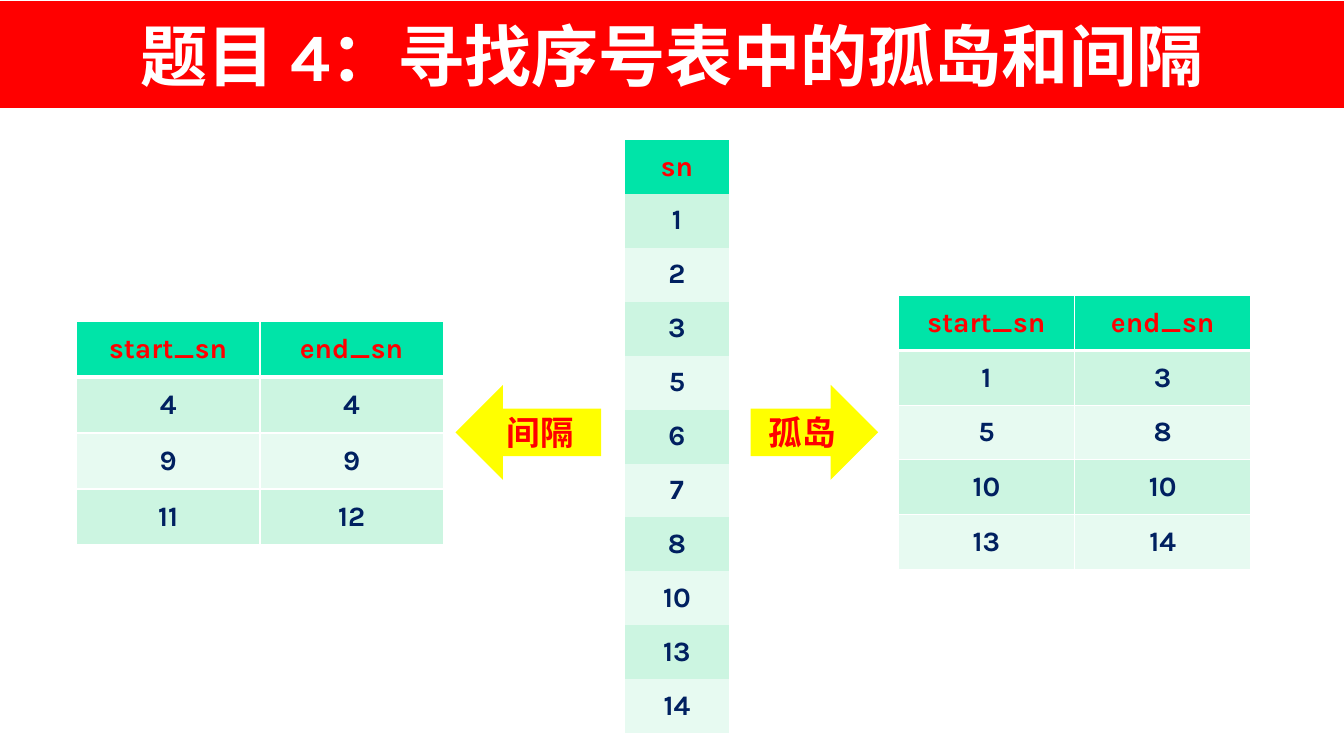
import pptx
import pptx.util
import pptx.dml.color
import pptx.enum.shapes
import pptx.enum.text
import pptx.oxml
import pptx.oxml.ns

COLORS = {
    "banner": "FF0000",
    "title": "FFFFFF",
    "header": "00E4A8",
    "band_dark": "CCF5E1",
    "band_light": "E7FAF1",
    "accent_text": "FF0000",
    "value": "002060",
    "arrow": "FFFF00",
    "grid": "FFFFFF",
}
LATIN, CJK = "Karla", "Noto Sans CJK JP"
PLAIN_TABLE = "{2D5ABB26-0587-4C30-8999-92F81FD0307C}"
Cm, Pt = pptx.util.Cm, pptx.util.Pt


def rgb(name):
    return pptx.dml.color.RGBColor.from_string(COLORS[name])


class SlideBuilder:
    def __init__(self, presentation):
        self.slide = presentation.slides.add_slide(presentation.slide_layouts[5])

    def fill(self, target, color):
        target.fill.solid()
        target.fill.fore_color.rgb = rgb(color)

    def set_text(self, frame, text, size, color, font=LATIN):
        frame.text = text
        frame.word_wrap = True
        paragraph = frame.paragraphs[0]
        paragraph.alignment = pptx.enum.text.PP_ALIGN.CENTER
        paragraph.font.name = font
        paragraph.font.size = Pt(size)
        paragraph.font.bold = True
        paragraph.font.color.rgb = rgb(color)

    def title(self, text, left, top, width, height):
        banner = self.slide.shapes.title
        banner.left, banner.top = Cm(left), Cm(top)
        banner.width, banner.height = Cm(width), Cm(height)
        self.fill(banner, "banner")
        self.set_text(banner.text_frame, text, 48, "title")
        banner.text_frame.auto_size = pptx.enum.text.MSO_AUTO_SIZE.NONE
        banner.text_frame.vertical_anchor = pptx.enum.text.MSO_ANCHOR.MIDDLE

    def borders(self, cell, is_header, below_header):
        # Border lines come before the fill in the cell properties
        properties = cell._tc.get_or_add_tcPr()
        widths = {"lnL": 1, "lnR": 1,
                  "lnT": 3 if below_header else 1,
                  "lnB": 3 if is_header else 1}
        for index, (side, points) in enumerate(widths.items()):
            properties.insert(index, pptx.oxml.parse_xml(
                f'<a:{side} {pptx.oxml.ns.nsdecls("a")} w="{Pt(points)}">'
                f'<a:solidFill><a:srgbClr val="{COLORS["grid"]}"/></a:solidFill>'
                f'</a:{side}>'))

    def table(self, rows, left, top, column_width, row_height, grid=True):
        columns = len(rows[0])
        table = self.slide.shapes.add_table(
            len(rows), columns, Cm(left), Cm(top),
            Cm(column_width * columns), Cm(row_height * len(rows))).table
        table._tbl.tblPr.find(pptx.oxml.ns.qn("a:tableStyleId")).text = PLAIN_TABLE
        for column in table.columns:
            column.width = Cm(column_width)
        for r, values in enumerate(rows):
            table.rows[r].height = Cm(row_height)
            band = "header" if r == 0 else ("band_light", "band_dark")[r % 2]
            for c, value in enumerate(values):
                cell = table.cell(r, c)
                self.fill(cell, band)
                cell.vertical_anchor = pptx.enum.text.MSO_ANCHOR.MIDDLE
                self.set_text(cell.text_frame, str(value), 20,
                              "value" if r else "accent_text")
                if grid:
                    self.borders(cell, r == 0, r == 1)

    def arrow(self, kind, text, left, top, width, height):
        arrow = self.slide.shapes.add_shape(
            kind, Cm(left), Cm(top), Cm(width), Cm(height))
        arrow.shadow.inherit = False
        self.fill(arrow, "arrow")
        arrow.line.fill.background()
        self.set_text(arrow.text_frame, text, 24, "accent_text", CJK)
        arrow.text_frame.vertical_anchor = pptx.enum.text.MSO_ANCHOR.MIDDLE


def main():
    presentation = pptx.Presentation()
    presentation.slide_width, presentation.slide_height = Cm(33.87), Cm(19.05)
    builder = SlideBuilder(presentation)
    shapes = pptx.enum.shapes.MSO_SHAPE

    # Title banner
    builder.title("题目 4：寻找序号表中的孤岛和间隔", 0, 0.03, 33.87, 2.69)

    # Islands, gaps and the sequence they come from
    range_header = ("start_sn", "end_sn")
    islands = [(1, 3), (5, 8), (10, 10), (13, 14)]
    gaps = [(4, 4), (9, 9), (11, 12)]
    sequence = [(n,) for first, last in islands for n in range(first, last + 1)]
    builder.table([range_header] + islands, 22.64, 7.45, 4.44, 1.38)
    builder.table([range_header] + gaps, 1.93, 8.09, 4.62, 1.41)
    builder.table([("sn",)] + sequence, 15.75, 3.52, 2.62, 1.36, grid=False)

    # Arrows from the sequence to each result
    builder.arrow(shapes.RIGHT_ARROW, "孤岛", 18.92, 9.7, 3.21, 2.39)
    builder.arrow(shapes.LEFT_ARROW, "间隔", 11.48, 9.7, 3.67, 2.39)

    presentation.save("out.pptx")


if __name__ == "__main__":
    main()
